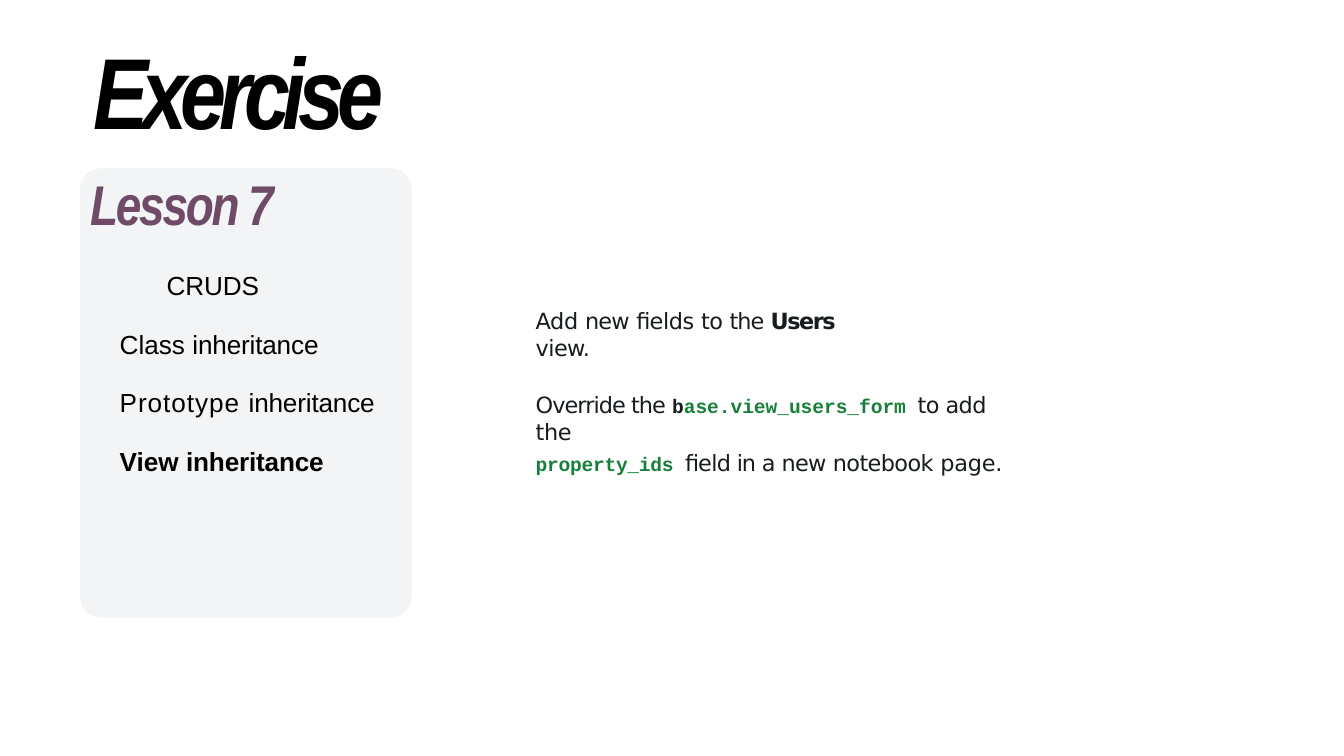
from pptx import Presentation
from pptx.util import Pt
from pptx.dml.color import RGBColor
from pptx.enum.shapes import MSO_SHAPE

BLACK = RGBColor(0x00, 0x00, 0x00)
INK = RGBColor(0x17, 0x1C, 0x1F)
GREEN = RGBColor(0x17, 0x80, 0x38)
PLUM = RGBColor(0x70, 0x4B, 0x67)
PALE = RGBColor(0xF2, 0xF4, 0xF6)

HEAD = dict(font="Arial Narrow", bold=True, italic=True)
ITEM = dict(font="Arial", size=14, color=BLACK)
BODY = dict(font="DejaVu Sans", size=12, color=INK)
CODE = dict(font="Courier New", size=10.5, color=GREEN, bold=True)


def add_run(para, text, font="Arial", size=12, color=BLACK, bold=False, italic=False, track=0):
    """Add a run of text in the given format."""
    run = para.add_run()
    run.text = text
    face = run.font
    face.name, face.size = font, Pt(size)
    face.bold, face.italic = bold, italic
    face.color.rgb = color
    run._r.get_or_add_rPr().set("spc", str(round(track * 100)))


def add_box(slide, box, inset=1):
    """Add a wrapping text box and return its frame."""
    frame = slide.shapes.add_textbox(*map(Pt, box)).text_frame
    frame.word_wrap = True
    frame.margin_left = frame.margin_right = frame.margin_bottom = 0
    frame.margin_top = Pt(inset)
    return frame


def add_para(frame, runs, style, indent=1, before=0):
    """Fill the empty first paragraph or append one, from (text, track, changes) runs."""
    first = frame.paragraphs[0]
    para = frame.add_paragraph() if first.runs else first
    para._p.get_or_add_pPr().set("marL", str(Pt(indent)))
    para.space_before = Pt(before)
    for text, track, *more in runs:
        look = style | (more[0] if more else {})
        add_run(para, text, track=track, **look)


def add_title(slide, box):
    """Place the slide title."""
    style = HEAD | dict(size=54, color=BLACK)
    add_para(add_box(slide, box), [("Exercise", -3.8)], style)


def add_panel(slide, box):
    """Place the rounded lesson panel with its topic list."""
    left, top, width, height = box
    card = slide.shapes.add_shape(MSO_SHAPE.ROUNDED_RECTANGLE, *map(Pt, box))
    card.adjustments[0] = 0.06
    card.shadow.inherit = False
    card.fill.solid()
    card.fill.fore_color.rgb = PALE
    card.line.color.rgb = PALE
    card.line.width = Pt(0.75)

    frame = add_box(slide, (left + 4, top - 0.5, width - 4, 167))
    add_para(frame, [("Lesson 7", -1.2)], HEAD | dict(size=30, color=PLUM))
    add_para(frame, [("CRUDS", -0.1)], ITEM, 42, 17.2)
    topics = [("Class ", 0, False), ("Prototype ", 0.5, False), ("View ", 0, True)]
    for word, track, bold in topics:
        runs = [(word, track), ("inheritance", -0.1)]
        add_para(frame, runs, ITEM | dict(bold=bold), 16.8, 14.7)


def add_tasks(slide, box):
    """Place the two exercise instructions."""
    left, top, width, height = box
    frame = add_box(slide, (left, top, 193, 17))
    add_para(frame, [
        ("Add ", -0.2), ("new ", -0.4), ("fields ", -0.2), ("to ", -0.3),
        ("the ", -0.5), ("Users ", -0.8, dict(bold=True)), ("view.", -0.3),
    ], BODY)

    frame = add_box(slide, (left, top + 43.2, width, height - 43.2), 3)
    add_para(frame, [
        ("Override the ", -0.5), ("b", 0, CODE | dict(color=INK)),
        ("ase.view_users_form ", 0, CODE), ("to add ", -0.3), ("the", -0.2),
    ], BODY)
    add_para(frame, [
        ("property_ids ", -0.1, CODE), ("field", -0.3), (" in ", -0.7), ("a ", -0.6),
        ("new ", -0.4), ("notebook ", -0.3), ("page.", -0.1),
    ], BODY, before=2.1)


def main():
    """Build and save the exercise slide."""
    deck = Presentation()
    deck.slide_width, deck.slide_height = Pt(720), Pt(405)
    slide = deck.slides.add_slide(deck.slide_layouts[6])
    add_tasks(slide, (286, 163.4, 265, 78.5))
    add_panel(slide, (43.3, 90.5, 176.8, 240))
    add_title(slide, (49, 14.4, 204.5, 66))
    deck.save("out.pptx")


if __name__ == "__main__":
    main()
